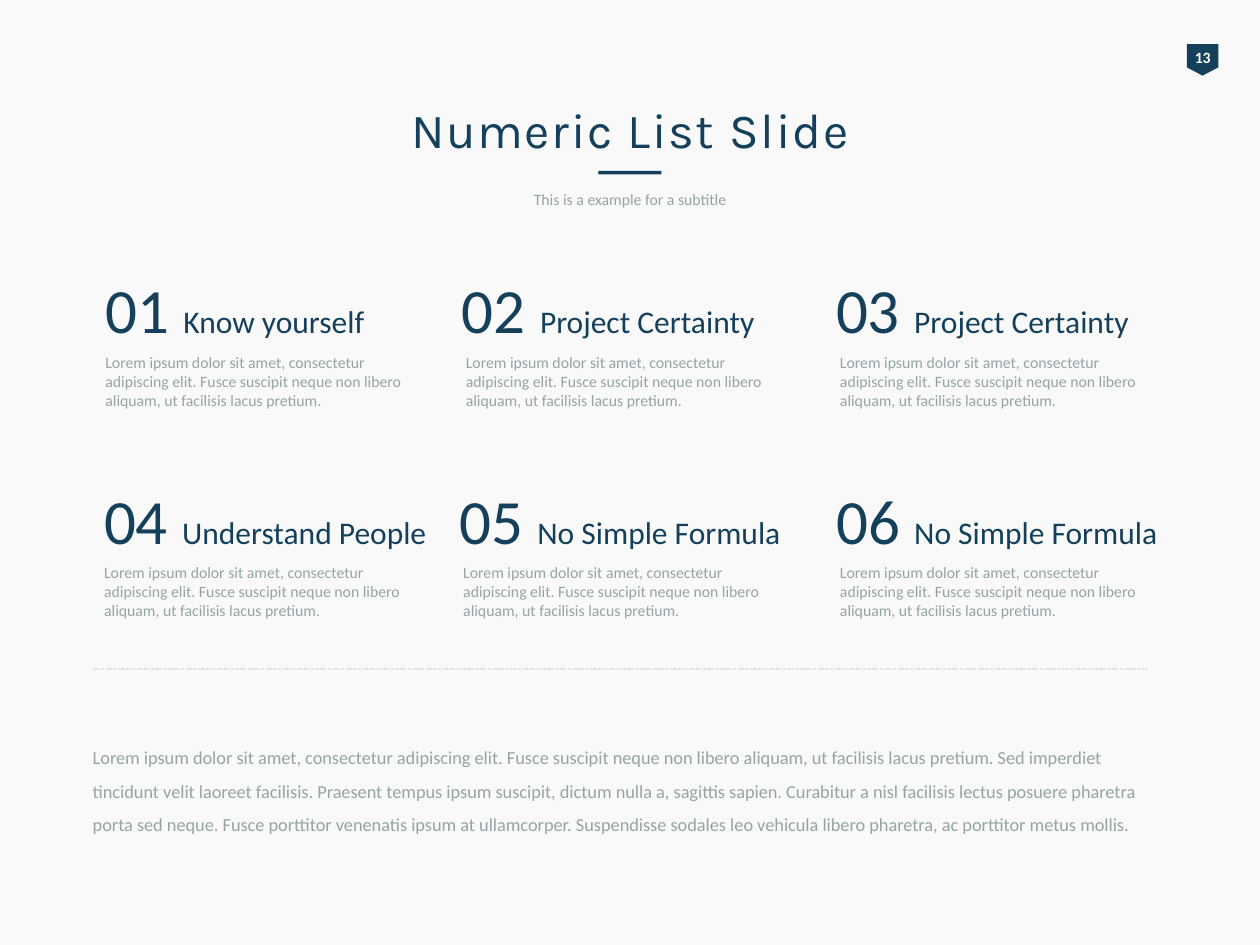
from lxml import etree
from pptx import Presentation
from pptx.dml.color import RGBColor
from pptx.enum.dml import MSO_LINE
from pptx.enum.shapes import MSO_CONNECTOR, MSO_SHAPE
from pptx.enum.text import MSO_ANCHOR, PP_ALIGN
from pptx.oxml.ns import qn
from pptx.util import Pt

NAVY, TITLE, GRAY, RULE, PAPER, WHITE = (
    "15405B", "14405C", "95A5A6", "D9D9D9", "F9F9F9", "FFFFFF")

ITEM_TEXT = ("Lorem ipsum dolor sit amet, consectetur adipiscing elit. "
             "Fusce suscipit neque non libero aliquam, ut facilisis lacus pretium.")
SUMMARY = (
    ITEM_TEXT + " Sed imperdiet tincidunt velit laoreet facilisis. "
    "Praesent tempus ipsum suscipit, dictum nulla a, sagittis sapien. "
    "Curabitur a nisl facilisis lectus posuere pharetra porta sed neque. "
    "Fusce porttitor venenatis ipsum at ullamcorper. "
    "Suspendisse sodales leo vehicula libero pharetra, ac porttitor metus mollis.")

# Heading, left edge, heading width and text indent of each item, row by row
ROWS = [
    [("Know yourself", 54.7, 186.5, 0),
     ("Project Certainty", 258.5, 197.3, 2.2),
     ("Project Certainty", 472.3, 197.3, 2.2)],
    [("Understand People", 54, 208.8, 0),
     ("No Simple Formula", 257, 205.2, 2.2),
     ("No Simple Formula", 472.3, 203, 2.2)],
]
ROW_TOP, ROW_STEP, TEXT_DROP = 149.8, 120.2, 48.2


def rgb(color):
    return RGBColor.from_string(color)


def add_run(p, text, size=9, color=GRAY, font="Calibri", bold=False, spacing=None):
    r = p.add_run()
    r.text = text
    r.font.size, r.font.name, r.font.bold = Pt(size), font, bold
    r.font.color.rgb = rgb(color)
    if spacing:
        r._r.get_or_add_rPr().set("spc", str(spacing * 100))


class Deck:
    def __init__(self, width, height):
        self.prs = Presentation()
        self.prs.slide_width, self.prs.slide_height = Pt(width), Pt(height)

    def slide(self, color):
        self.s = self.prs.slides.add_slide(self.prs.slide_layouts[6])
        fill = self.s.background.fill
        fill.solid()
        fill.fore_color.rgb = rgb(color)

    def text(self, x, y, w, h, *runs, align=PP_ALIGN.LEFT, anchor=MSO_ANCHOR.TOP,
             wrap=True, top=3.5, line_spacing=None):
        tf = self.s.shapes.add_textbox(Pt(x), Pt(y), Pt(w), Pt(h)).text_frame
        tf.word_wrap, tf.vertical_anchor = wrap, anchor
        tf.margin_left = tf.margin_right = Pt(5.5)
        tf.margin_top = tf.margin_bottom = Pt(top)
        p = tf.paragraphs[0]
        p.alignment = align
        if line_spacing:
            p.line_spacing = line_spacing
        for text, style in runs:
            add_run(p, text, **style)

    def shape(self, kind, x, y, w, h, color):
        sp = self.s.shapes.add_shape(kind, Pt(x), Pt(y), Pt(w), Pt(h))
        sp.shadow.inherit = False
        sp.fill.solid()
        sp.fill.fore_color.rgb = rgb(color)
        sp.line.fill.background()
        return sp

    def dotted_line(self, x1, y1, x2, y2, color, width):
        line = self.s.shapes.add_connector(
            MSO_CONNECTOR.STRAIGHT, Pt(x1), Pt(y1), Pt(x2), Pt(y2))
        line.line.color.rgb = rgb(color)
        line.line.width = Pt(width)
        line.line.dash_style = MSO_LINE.ROUND_DOT
        etree.SubElement(line._element.spPr, qn("a:effectLst"))


def main():
    deck = Deck(720, 540)
    deck.slide(PAPER)

    # Title, rule and subtitle
    deck.text(36, 58.3, 648, 31,
              ("Numeric List Slide", dict(size=28, color=TITLE, font="Karla", spacing=1)),
              align=PP_ALIGN.CENTER, anchor=MSO_ANCHOR.MIDDLE)
    deck.text(36, 105.1, 648, 13.7, ("This is a example for a subtitle", {}),
              align=PP_ALIGN.CENTER)
    deck.shape(MSO_SHAPE.RECTANGLE, 342, 97.7, 36, 2, NAVY)

    # Numbered items
    number = 0
    for row, items in enumerate(ROWS):
        y = ROW_TOP + row * ROW_STEP
        for heading, x, width, indent in items:
            number += 1
            deck.text(x, y, width, 33.1,
                      (f"{number:02d} ", dict(size=36, color=NAVY)),
                      (heading, dict(size=18, color=TITLE)), top=5)
            deck.text(x + indent, y + TEXT_DROP, 186.5, 48.2, (ITEM_TEXT, {}))

    # Divider and summary
    deck.dotted_line(655.2, 382.3, 52.6, 382.3, RULE, 0.75)
    deck.text(47.5, 416.9, 624.2, 64.8, (SUMMARY, dict(size=10.5)), line_spacing=1.5)

    # Page number badge
    badge = deck.shape(MSO_SHAPE.PENTAGON, 678.2, 25.2, 18, 18, NAVY)
    badge.rotation = 90
    badge.adjustments[0] = 0.26
    deck.text(675.4, 23.8, 23.8, 18, ("13", dict(color=WHITE, bold=True)),
              align=PP_ALIGN.CENTER, wrap=False)

    deck.prs.save("out.pptx")


if __name__ == "__main__":
    main()
